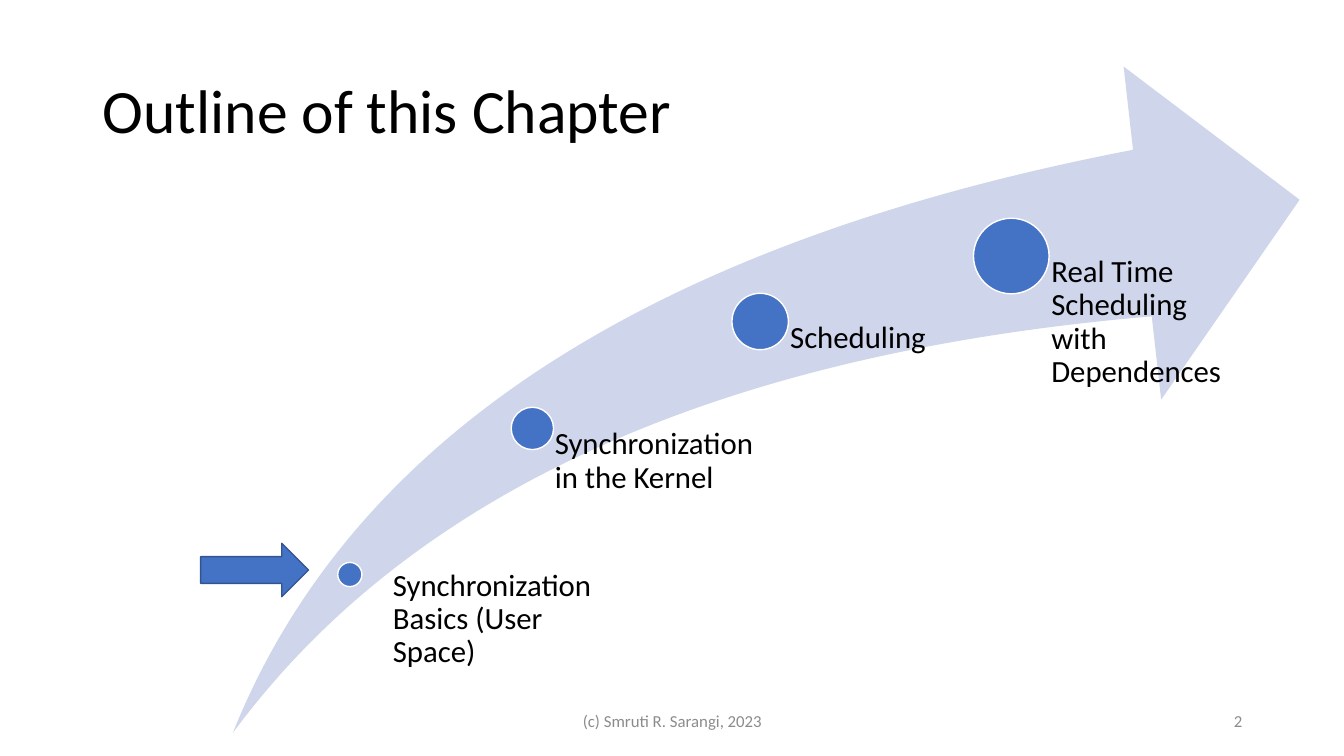
from pptx import Presentation
from pptx import util as u
from pptx.dml.color import RGBColor
from pptx.enum import shapes, text

COLORS = {
    "ink": "000000",
    "muted": "8C8C8C",
    "swoosh": "CFD5EA",
    "accent": "4472C4",
    "accent_edge": "325491",
    "white": "FFFFFF",
}

STOPS = [
    ("Synchronization Basics (User Space)", 3.47, 5.70, 0.24),
    ("Synchronization in the Kernel", 5.28, 4.25, 0.42),
    ("Scheduling", 7.54, 3.19, 0.56),
    ("Real Time Scheduling with Dependences", 10.03, 2.54, 0.75),
]
LABEL_BOTTOM = 7.28


class OutlineSlide:
    font = "Calibri"

    def __init__(self, deck):
        self.slide = deck.slides.add_slide(deck.slide_layouts[5])

    def color(self, name):
        return RGBColor.from_string(COLORS[name])

    def set_text(self, frame, wording, size, color, align, anchor, spacing=1.0):
        frame.word_wrap = True
        frame.auto_size = text.MSO_AUTO_SIZE.NONE
        frame.vertical_anchor = anchor
        paragraph = frame.paragraphs[0]
        paragraph.alignment = align
        paragraph.line_spacing = spacing
        run = paragraph.add_run()
        run.text = wording
        run.font.name = self.font
        run.font.size = u.Pt(size)
        run.font.color.rgb = self.color(color)

    def title(self, wording, box):
        heading = self.slide.shapes.title
        heading.left, heading.top, heading.width, heading.height = map(u.Inches, box)
        self.set_text(heading.text_frame, wording, 44, "ink",
                      text.PP_ALIGN.LEFT, text.MSO_ANCHOR.MIDDLE, 0.9)

    def shape(self, preset, box, fill, edge=None):
        figure = self.slide.shapes.add_shape(preset, *map(u.Inches, box))
        figure.shadow.inherit = False
        figure.fill.solid()
        figure.fill.fore_color.rgb = self.color(fill)
        if edge:
            figure.line.color.rgb = self.color(edge)
            figure.line.width = u.Pt(1)
        else:
            figure.line.fill.background()
        return figure

    def label(self, wording, box, inset):
        frame = self.slide.shapes.add_textbox(*map(u.Inches, box)).text_frame
        frame.margin_left = u.Inches(inset)
        frame.margin_top = frame.margin_right = frame.margin_bottom = 0
        self.set_text(frame, wording, 22, "ink",
                      text.PP_ALIGN.LEFT, text.MSO_ANCHOR.TOP, 0.9)

    def footer(self, wording, box, align):
        frame = self.slide.shapes.add_textbox(*map(u.Inches, box)).text_frame
        self.set_text(frame, wording, 12, "muted", align, text.MSO_ANCHOR.MIDDLE)

    def stop(self, wording, x, y, diameter, label_box, inset):
        radius = diameter / 2
        self.shape(shapes.MSO_SHAPE.OVAL,
                   (x - radius, y - radius, diameter, diameter), "accent", "white")
        self.label(wording, label_box, inset)


def main():
    deck = Presentation()
    deck.slide_width, deck.slide_height = u.Inches(13.33), u.Inches(7.5)
    outline = OutlineSlide(deck)
    outline.title("Outline of this Chapter", (0.92, 0.4, 11.5, 1.45))

    swoosh = outline.shape(shapes.MSO_SHAPE.SWOOSH_ARROW,
                           (2.31, 0.66, 10.58, 6.61), "swoosh")
    swoosh.adjustments[0] = swoosh.adjustments[1] = 0.25

    for index, (topic, x, y, diameter) in enumerate(STOPS):
        left, top, width = (x, y, 2.22) if index else (3.77, 5.65, 2.37)
        outline.stop(topic, x, y, diameter,
                     (left, top, width, LABEL_BOTTOM - top), 0.53 * diameter)

    outline.shape(shapes.MSO_SHAPE.RIGHT_ARROW,
                  (1.99, 5.39, 1.07, 0.53), "accent", "accent_edge")
    outline.footer("(c) Smruti R. Sarangi, 2023", (4.42, 6.95, 4.5, 0.4),
                   text.PP_ALIGN.CENTER)
    outline.footer("2", (9.42, 6.95, 3, 0.4), text.PP_ALIGN.RIGHT)
    deck.save("out.pptx")


if __name__ == "__main__":
    main()
